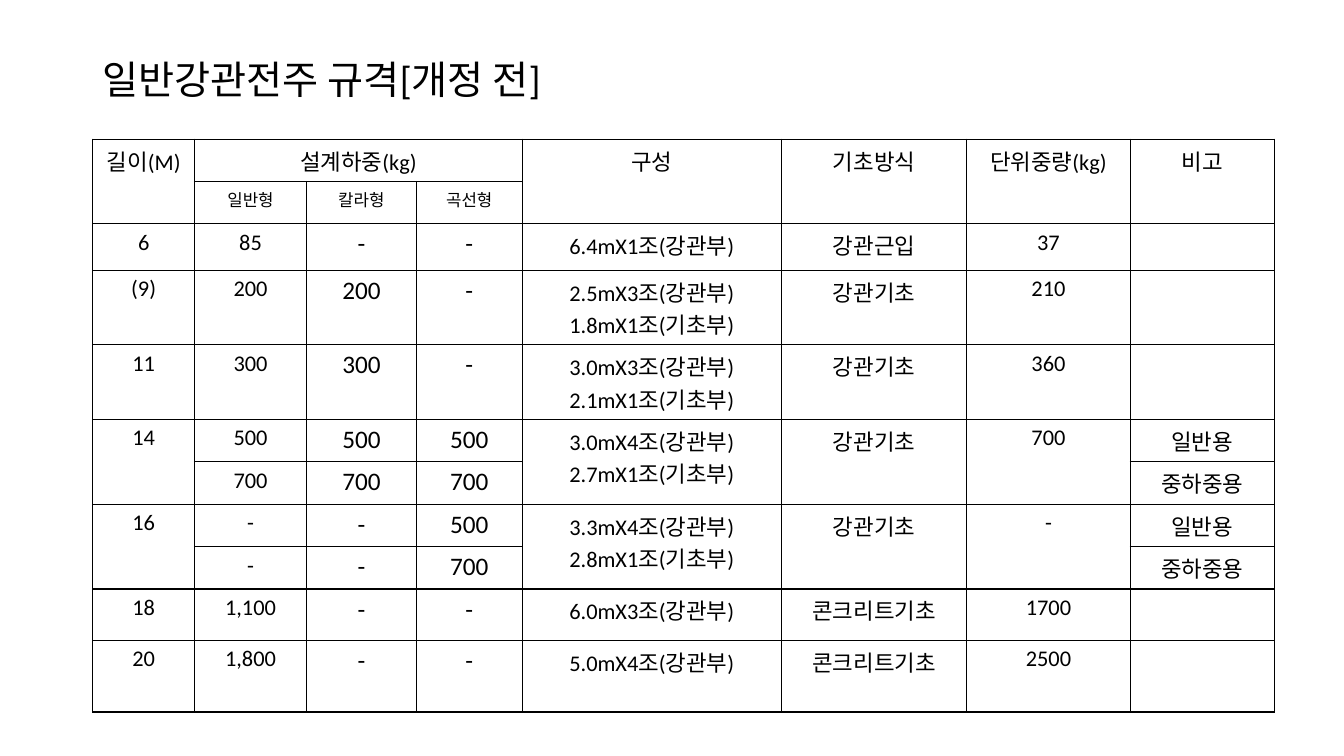
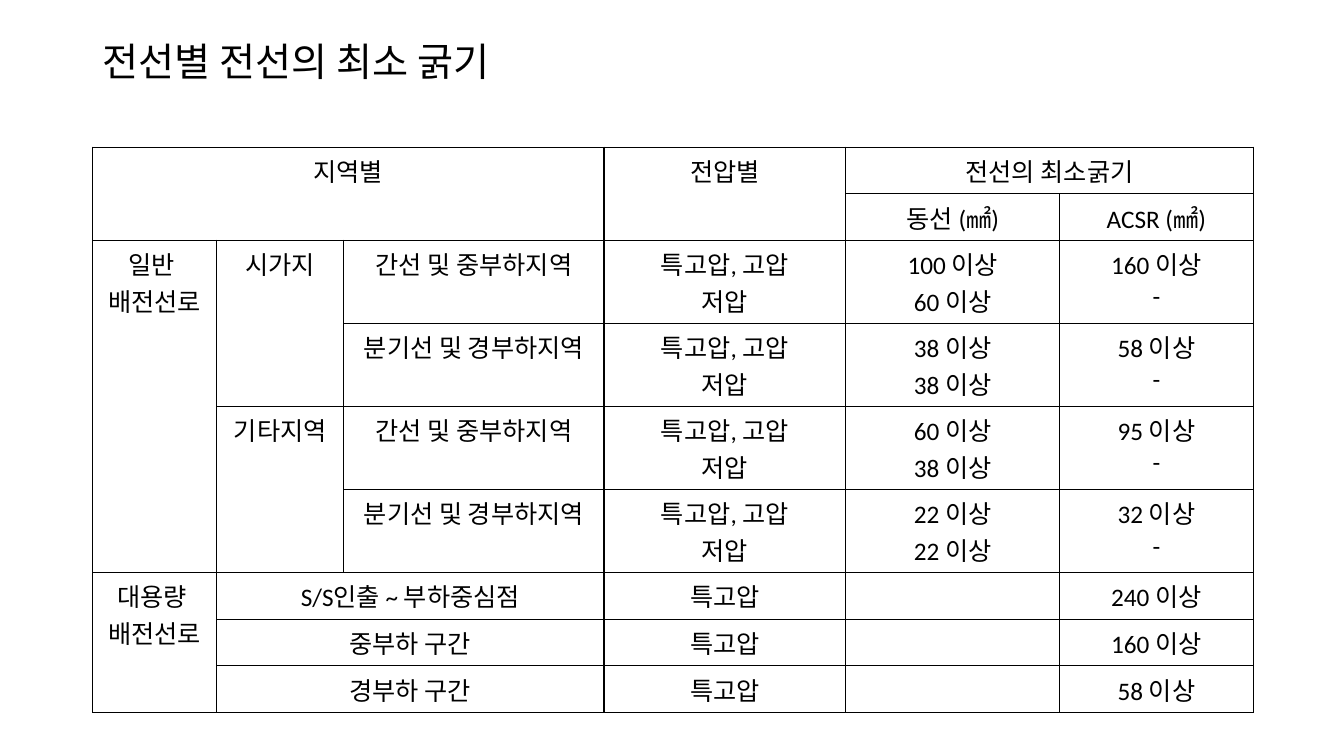
from dataclasses import dataclass
from typing import Callable

from pptx import Presentation
from pptx.dml.color import RGBColor
from pptx.enum.text import MSO_ANCHOR, MSO_AUTO_SIZE, PP_ALIGN
from pptx.oxml import parse_xml
from pptx.oxml.ns import nsdecls
from pptx.util import Inches, Pt

FONT = "Calibri"
BLACK = "000000"
LEFT = 0.92
TITLE_W = 11.5
LEFTWARD, UPWARD = "<", "^"  # a cell that joins its left or upper neighbour


@dataclass
class Sheet:
    title: str
    title_top: float
    title_h: float
    top: float
    cols: list[float]
    rows: list[float]
    cells: list[list[str]]
    size: Callable[[int, int], int]


def pole_size(row: int, col: int) -> int:
    if row == 1:
        return 12
    return 18 if row > 1 and col in (2, 3) else 16


def wire_size(row: int, col: int) -> int:
    return 18


POLES = Sheet(
    "일반강관전주 규격[개정 전]", 0.4, 0.83, 1.38,
    [1.01, 1.11, 1.09, 1.05, 2.57, 1.84, 1.62, 1.43],
    [0.42, 0.42, 0.46, 0.74, 0.74, 0.42, 0.42, 0.42, 0.42, 0.51, 0.71],
    [
        ["길이(M)", "설계하중(kg)", "<", "<", "구성", "기초방식", "단위중량(kg)", "비고"],
        ["^", "일반형", "칼라형", "곡선형", "^", "^", "^", "^"],
        ["6", "85", "-", "-", "6.4mX1조(강관부)", "강관근입", "37", ""],
        ["(9)", "200", "200", "-", "2.5mX3조(강관부)\n1.8mX1조(기초부)", "강관기초", "210", ""],
        ["11", "300", "300", "-", "3.0mX3조(강관부)\n2.1mX1조(기초부)", "강관기초", "360", ""],
        ["14", "500", "500", "500", "3.0mX4조(강관부)\n2.7mX1조(기초부)", "강관기초", "700", "일반용"],
        ["^", "700", "700", "700", "^", "^", "^", "중하중용"],
        ["16", "-", "-", "500", "3.3mX4조(강관부)\n2.8mX1조(기초부)", "강관기초", "-", "일반용"],
        ["^", "-", "-", "700", "^", "^", "^", "중하중용"],
        ["18", "1,100", "-", "-", "6.0mX3조(강관부)", "콘크리트기초", "1700", ""],
        ["20", "1,800", "-", "-", "5.0mX4조(강관부)", "콘크리트기초", "2500", ""],
    ],
    pole_size,
)

VOLTS = "특고압, 고압\n저압"
WIRES = Sheet(
    "전선별 전선의 최소 굵기", 0.35, 0.57, 1.46,
    [1.23, 1.26, 2.58, 2.4, 2.12, 1.92],
    [0.46] * 2 + [0.82] * 4 + [0.46] * 3,
    [
        ["지역별", "<", "<", "전압별", "전선의 최소굵기", "<"],
        ["^", "^", "^", "^", "동선 (㎟)", "ACSR (㎟)"],
        ["일반 \n배전선로", "시가지", "간선 및 중부하지역", VOLTS, "100 이상\n60 이상", "160 이상\n-"],
        ["^", "^", "분기선 및 경부하지역", VOLTS, "38 이상\n38 이상", "58 이상\n-"],
        ["^", "기타지역", "간선 및 중부하지역", VOLTS, "60 이상\n38 이상", "95 이상\n-"],
        ["^", "^", "분기선 및 경부하지역", VOLTS, "22 이상\n22 이상", "32 이상\n-"],
        ["대용량 \n배전선로", "S/S인출 ~ 부하중심점", "<", "특고압", "", "240 이상"],
        ["^", "중부하 구간", "<", "특고압", "", "160 이상"],
        ["^", "경부하 구간", "<", "특고압", "", "58 이상"],
    ],
    wire_size,
)


def style(frame, size: int, align: PP_ALIGN) -> None:
    for para in frame.paragraphs:
        para.alignment = align
        for run in para.runs:
            run.font.name = FONT
            run.font.size = Pt(size)
            run.font.color.rgb = RGBColor.from_string(BLACK)


def add_title(slide, sheet: Sheet) -> None:
    title = slide.shapes.title
    title.left, title.top = Inches(LEFT), Inches(sheet.title_top)
    title.width, title.height = Inches(TITLE_W), Inches(sheet.title_h)
    frame = title.text_frame
    frame.text = sheet.title
    frame.auto_size = MSO_AUTO_SIZE.NONE
    frame.vertical_anchor = MSO_ANCHOR.MIDDLE
    frame.paragraphs[0].line_spacing = 0.9
    style(frame, 28, PP_ALIGN.LEFT)


def add_edges(cell) -> None:
    props = cell._tc.get_or_add_tcPr()
    for side in "LRTB":
        props.append(parse_xml(
            f'<a:ln{side} {nsdecls("a")} w="{Pt(1)}"><a:solidFill>'
            f'<a:srgbClr val="{BLACK}"/></a:solidFill></a:ln{side}>'))


def reach(marks: list[str], mark: str) -> int:
    """Count how many entries at the start of marks equal mark."""
    count = 0
    while count < len(marks) and marks[count] == mark:
        count += 1
    return count


def add_grid(slide, sheet: Sheet) -> None:
    table = slide.shapes.add_table(
        len(sheet.rows), len(sheet.cols), Inches(LEFT), Inches(sheet.top),
        Inches(sum(sheet.cols)), Inches(sum(sheet.rows))).table
    table.first_row = table.horz_banding = False
    for col, width in zip(table.columns, sheet.cols):
        col.width = Inches(width)
    for row, height in zip(table.rows, sheet.rows):
        row.height = Inches(height)
    for r, texts in enumerate(sheet.cells):
        for c, text in enumerate(texts):
            cell = table.cell(r, c)
            add_edges(cell)
            cell.fill.background()
            if text in (LEFTWARD, UPWARD):
                continue
            right = c + reach(texts[c + 1:], LEFTWARD)
            below = [line[c] for line in sheet.cells[r + 1:]]
            down = r + reach(below, UPWARD)
            if (down, right) != (r, c):
                cell.merge(table.cell(down, right))
            cell.text_frame.text = text
            style(cell.text_frame, sheet.size(r, c), PP_ALIGN.CENTER)


def main() -> None:
    deck = Presentation()
    deck.slide_width, deck.slide_height = Inches(13.33), Inches(7.5)
    for sheet in (POLES, WIRES):
        slide = deck.slides.add_slide(deck.slide_layouts[5])
        add_title(slide, sheet)
        add_grid(slide, sheet)
    deck.save("out.pptx")


if __name__ == "__main__":
    main()
